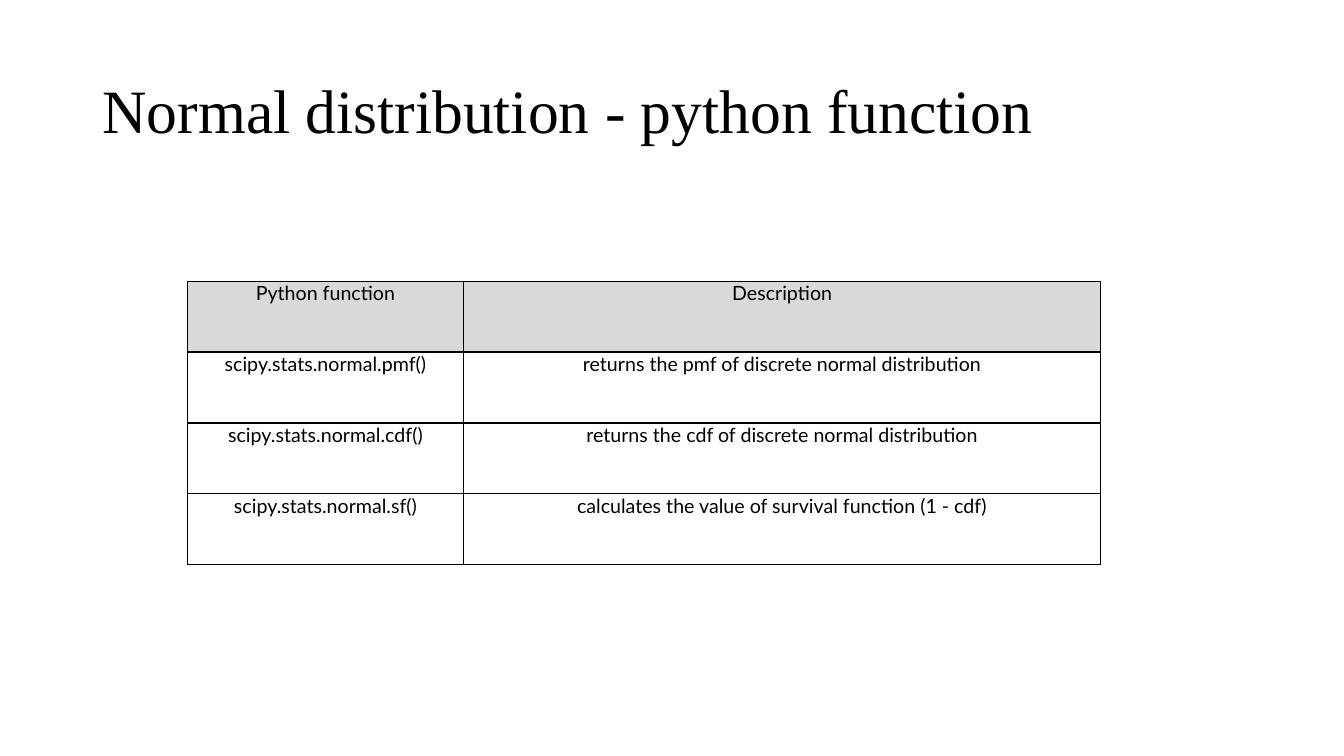
from lxml.etree import SubElement
from pptx import Presentation
from pptx.dml.color import RGBColor
from pptx.enum.text import MSO_ANCHOR, PP_ALIGN
from pptx.oxml.ns import qn
from pptx.util import Pt

BLACK = RGBColor(0x00, 0x00, 0x00)
HEADER_GREY = RGBColor(0xD9, 0xD9, 0xD9)
COLUMN_WIDTHS = [197.3, 455]
ROW_HEIGHT = 50.6
ROWS = [
    ("Python function", "Description"),
    ("scipy.stats.normal.pmf()", "returns the pmf of discrete normal distribution"),
    ("scipy.stats.normal.cdf()", "returns the cdf of discrete normal distribution"),
    ("scipy.stats.normal.sf()", "calculates the value of survival function (1 - cdf)"),
]


def write_text(frame, text, paragraph_format, font_name, size):
    para = frame.paragraphs[0]
    for name, value in paragraph_format.items():
        setattr(para, name, value)
    span = para.add_run()
    span.text = text
    for name, value in {"name": font_name, "size": Pt(size)}.items():
        setattr(span.font, name, value)
    span.font.color.rgb = BLACK


def add_borders(cell):
    properties = cell._tc.get_or_add_tcPr()
    for side in ("a:lnL", "a:lnR", "a:lnT", "a:lnB"):
        line = SubElement(properties, qn(side), w=str(Pt(1)))
        fill = SubElement(line, qn("a:solidFill"))
        SubElement(fill, qn("a:srgbClr"), val=str(BLACK))


deck = Presentation()
deck.slide_width, deck.slide_height = Pt(960), Pt(540)
page = deck.slides.add_slide(deck.slide_layouts[5])

title = page.shapes.title
title_box = {"left": Pt(66), "top": Pt(28.8), "width": Pt(828), "height": Pt(104.4)}
for name, value in title_box.items():
    setattr(title, name, value)
title.text_frame.vertical_anchor = MSO_ANCHOR.MIDDLE
title_format = {"alignment": PP_ALIGN.LEFT, "line_spacing": 0.9}
write_text(title.text_frame, "Normal distribution - python function",
           title_format, "Times New Roman", 44)

table = page.shapes.add_table(
    len(ROWS), len(COLUMN_WIDTHS), Pt(133.9), Pt(200.9),
    Pt(sum(COLUMN_WIDTHS)), Pt(ROW_HEIGHT * len(ROWS))).table
table.first_row = False
table.horz_banding = False
for column, width in zip(table.columns, COLUMN_WIDTHS):
    column.width = Pt(width)

cell_format = {"alignment": PP_ALIGN.CENTER, "space_before": Pt(12.2)}
for row_index, texts in enumerate(ROWS):
    table.rows[row_index].height = Pt(ROW_HEIGHT)
    for column_index, text in enumerate(texts):
        cell = table.cell(row_index, column_index)
        for side in ("left", "right", "top", "bottom"):
            setattr(cell, f"margin_{side}", Pt(0))
        add_borders(cell)
        if row_index == 0:
            cell.fill.solid()
            cell.fill.fore_color.rgb = HEADER_GREY
        else:
            cell.fill.background()
        write_text(cell.text_frame, text, cell_format, "Lato", 14)

deck.save("out.pptx")
